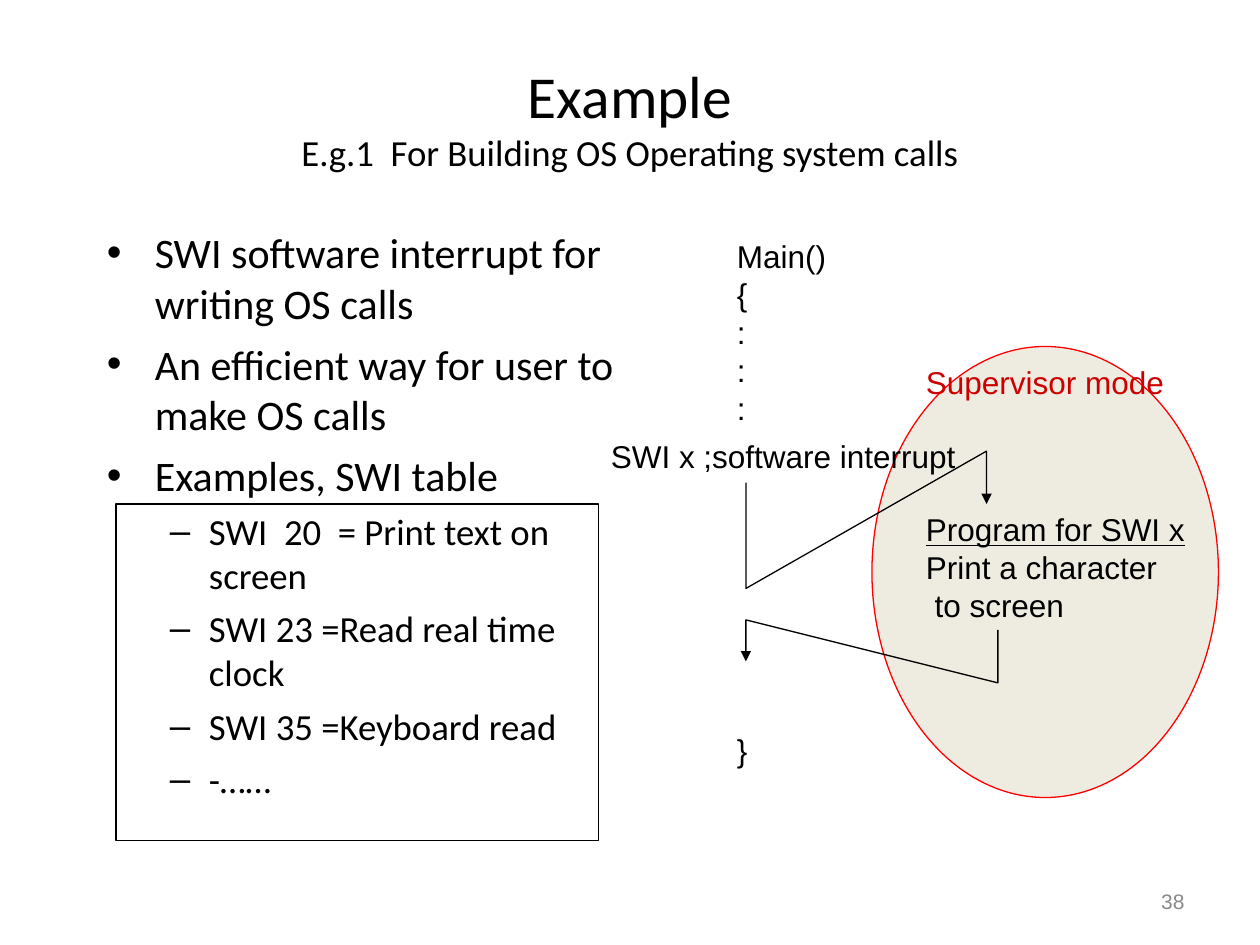
from dataclasses import dataclass

from lxml.etree import SubElement
from pptx import Presentation
from pptx.dml.color import RGBColor
from pptx.enum.shapes import MSO_SHAPE as Shape
from pptx.enum.text import MSO_ANCHOR as Anchor, PP_ALIGN as Align
from pptx.oxml.ns import qn
from pptx.util import Inches, Pt


@dataclass(frozen=True)
class Theme:
    black: RGBColor = RGBColor(0, 0, 0)
    white: RGBColor = RGBColor(255, 255, 255)
    red: RGBColor = RGBColor(255, 0, 0)
    dark_red: RGBColor = RGBColor(0xCC, 0, 0)
    beige: RGBColor = RGBColor(0xEE, 0xEC, 0xE1)
    grey: RGBColor = RGBColor(0x89, 0x89, 0x89)
    heading: str = "Calibri"
    code: str = "Arial"
    title_size: float = 34
    body_size: float = 24
    sub_size: float = 21
    code_size: float = 18
    code_line: float = 21.7
    number_size: float = 12


theme = Theme()


def add_text(box, lines, font, size, color):
    """Add a text box with one paragraph per line and return its text frame."""
    frame = slide.shapes.add_textbox(*map(Inches, box)).text_frame
    frame.word_wrap = True
    frame.text = "\n".join(lines)
    for paragraph in frame.paragraphs:
        paragraph.font.name = font
        paragraph.font.size = Pt(size)
        paragraph.font.color.rgb = color
    return frame


def style_outline(shape, color):
    shape.shadow.inherit = False
    shape.line.color.rgb = color
    shape.line.width = Pt(0.75)


presentation = Presentation()
presentation.slide_width = Inches(10)
presentation.slide_height = Inches(7.5)
slide = presentation.slides.add_slide(presentation.slide_layouts[6])

# Frame around the SWI table
table_frame = slide.shapes.add_shape(
    Shape.RECTANGLE, Inches(0.92), Inches(4), Inches(3.83), Inches(2.67))
table_frame.fill.solid()
table_frame.fill.fore_color.rgb = theme.white
style_outline(table_frame, theme.black)

# Title
title = add_text((0.5, 0.3, 9, 1.25),
                 ["Example\vE.g.1  For Building OS Operating system calls"],
                 theme.heading, theme.title_size, theme.black)
title.vertical_anchor = Anchor.MIDDLE
title.paragraphs[0].alignment = Align.CENTER
title.paragraphs[0].runs[1].font.size = Pt(theme.sub_size)

# Bulleted list: level, text
items = [
    (0, "SWI software interrupt for writing OS calls"),
    (0, "An efficient way for user to make OS calls"),
    (0, "Examples, SWI table"),
    (1, "SWI  20  = Print text on screen"),
    (1, "SWI 23 =Read real time clock"),
    (1, "SWI 35 =Keyboard read"),
    (1, "-……"),
]
# Per level: bullet, left margin, hanging indent, space before, size
levels = [("•", 0.38, 0.38, 6, theme.body_size),
          ("–", 0.81, 0.31, 5.2, theme.sub_size)]
body = add_text((0.75, 1.75, 4.42, 4.95), [text for _, text in items],
                theme.heading, theme.body_size, theme.black)
for index, (paragraph, (level, _)) in enumerate(zip(body.paragraphs, items)):
    bullet, margin, hanging, space, size = levels[level]
    paragraph.level = level
    paragraph.space_before = Pt(space if index else 0)
    properties = paragraph._p.get_or_add_pPr()
    properties.set("marL", str(Inches(margin)))
    properties.set("indent", str(-Inches(hanging)))
    # Bullet elements come before the default run properties
    default_run = properties.find(qn("a:defRPr"))
    properties.remove(default_run)
    SubElement(properties, qn("a:buFont"), typeface="Arial")
    SubElement(properties, qn("a:buChar"), char=bullet)
    properties.append(default_run)
    paragraph.font.size = Pt(size)

# Slide number
number = add_text((7.17, 6.95, 2.33, 0.4), ["38"],
                  theme.code, theme.number_size, theme.grey)
number.vertical_anchor = Anchor.MIDDLE
number.paragraphs[0].alignment = Align.RIGHT

# Supervisor mode region
supervisor = slide.shapes.add_shape(
    Shape.OVAL, Inches(6.92), Inches(2.75), Inches(2.75), Inches(3.58))
supervisor.fill.solid()
supervisor.fill.fore_color.rgb = theme.beige
style_outline(supervisor, theme.red)

# Program listings and labels, each box a little wider than its longest line
listings = [
    ((5.75, 1.83, 1, 4.3), ["Main()", "{", ":", ":", ":", "}"], theme.black),
    ((7.25, 4, 2.4, 1),
     ["Program for SWI x", "Print a character", " to screen"], theme.black),
    ((4.75, 3.42, 3.1, 0.4), ["SWI x ;software interrupt"], theme.black),
    ((7.25, 2.83, 2.2, 0.4), ["Supervisor mode"], theme.dark_red),
]
frames = []
for box, lines, color in listings:
    frame = add_text(box, lines, theme.code, theme.code_size, color)
    for paragraph in frame.paragraphs:
        paragraph.line_spacing = Pt(theme.code_line)
    frames.append(frame)
main_listing, handler_listing = frames[:2]
main_listing.paragraphs[-1].space_before = Pt(8 * theme.code_line)
handler_listing.paragraphs[0].font.underline = True

# Call into the handler and return from it
routes = [
    [(5.92, 3.83), (5.92, 4.67), (7.83, 3.58), (7.83, 4)],
    [(7.92, 5), (7.92, 5.42), (5.92, 4.92), (5.92, 5.25)],
]
for route in routes:
    start, *rest = [(Inches(x), Inches(y)) for x, y in route]
    builder = slide.shapes.build_freeform(*start)
    builder.add_line_segments(rest, close=False)
    arrow = builder.convert_to_shape()
    arrow.fill.background()
    style_outline(arrow, theme.black)
    outline = arrow._element.spPr.find(qn("a:ln"))
    SubElement(outline, qn("a:tailEnd"), type="triangle")

presentation.save("out.pptx")
